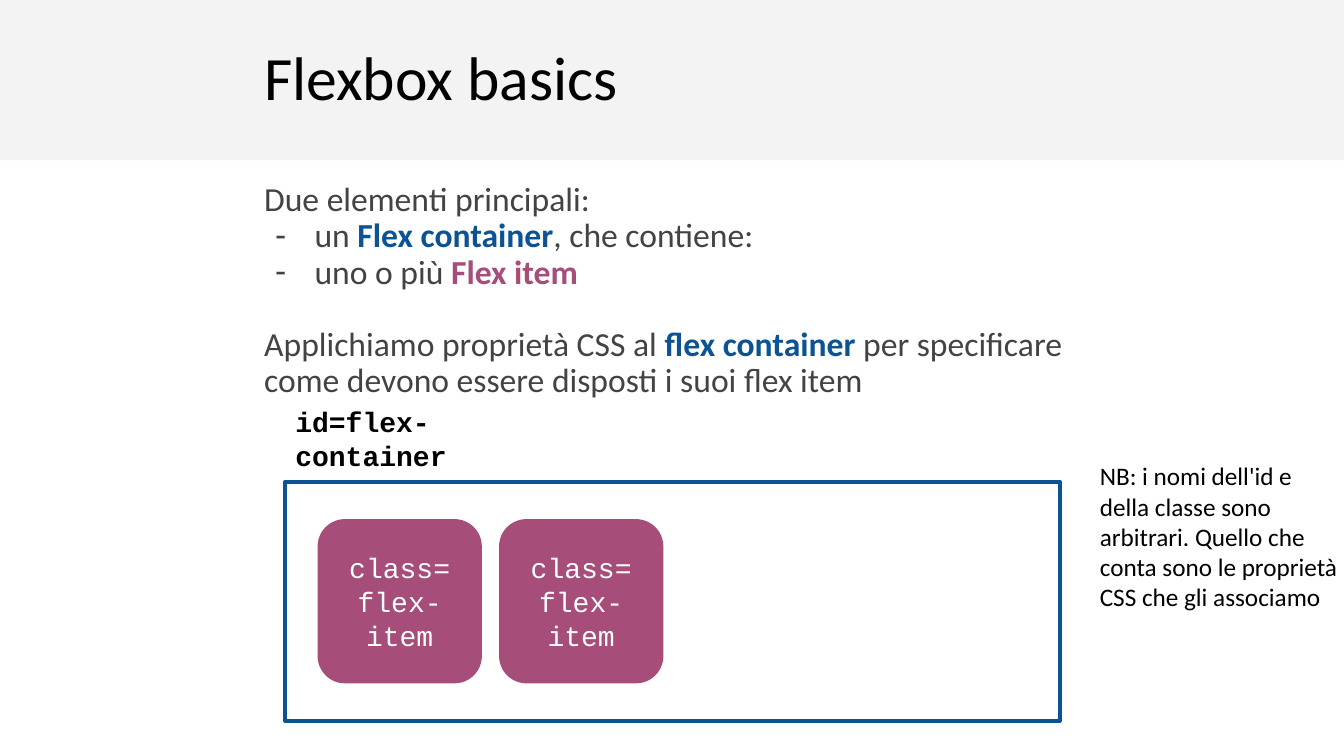
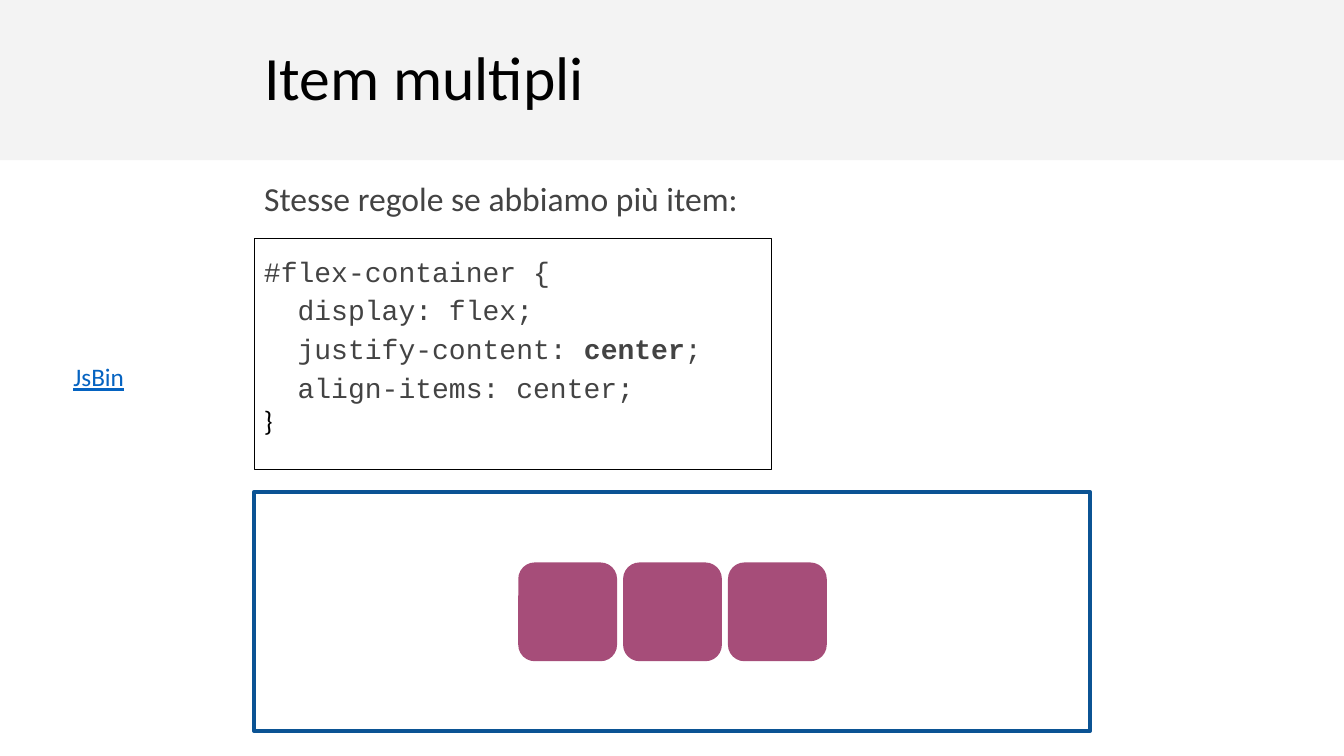
from lxml import etree
from pptx import Presentation
from pptx.dml.color import RGBColor
from pptx.enum.shapes import MSO_SHAPE as SHAPE
from pptx.enum.text import MSO_ANCHOR as ANCHOR, MSO_AUTO_SIZE as AUTO, PP_ALIGN as ALIGN
from pptx.oxml.ns import qn
from pptx.util import Inches, Pt

COLORS = {
    "band": "F3F3F3",
    "text": "434343",
    "black": "000000",
    "white": "FFFFFF",
    "container": "0B5394",
    "item": "A64D79",
    "link": "0563C1",
}
SANS, MONO = "Calibri", "Courier New"


def add_runs(p, runs, size, font=SANS):
    for text, color, bold in runs:
        r = p.add_run()
        r.text = text
        r.font.name = font
        r.font.size = Pt(size)
        r.font.bold = bold
        r.font.color.rgb = RGBColor.from_string(COLORS[color])


def add_box(s, kind, x, y, w, h, fill=None, line=None, weight=3):
    sp = s.shapes.add_shape(kind, Inches(x), Inches(y), Inches(w), Inches(h))
    sp.shadow.inherit = False
    if fill:
        sp.fill.solid()
        sp.fill.fore_color.rgb = RGBColor.from_string(COLORS[fill])
    else:
        sp.fill.background()
    if line:
        sp.line.color.rgb = RGBColor.from_string(COLORS[line])
        sp.line.width = Pt(weight)
    else:
        sp.line.fill.background()
    tf = sp.text_frame
    tf.word_wrap = True
    tf.margin_left = tf.margin_right = tf.margin_top = tf.margin_bottom = Inches(0.1)
    return sp


prs = Presentation()
prs.slide_width, prs.slide_height = Inches(13.33), Inches(7.5)
layout = prs.slide_layouts[1]

pages = [
    ("Flexbox basics", 2.93, [
        (False, 0, [("Due elementi principali:", "text", False)]),
        (True, 0, [("un ", "text", False), ("Flex container", "container", True),
                   (", che contiene:", "text", False)]),
        (True, 0, [("uno o più ", "text", False), ("Flex item", "item", True)]),
        (False, 26, [("Applichiamo proprietà CSS al ", "text", False),
                     ("flex container", "container", True),
                     (" per specificare come devono essere disposti i suoi flex item",
                      "text", False)]),
    ]),
    ("Item multipli", 0.98, [
        (False, 0, [("Stesse regole se abbiamo più item:", "text", False)]),
    ]),
]

slides = []
for title, body_height, paragraphs in pages:
    s = prs.slides.add_slide(layout)
    slides.append(s)
    for sp, top, height, anchor in [
        (s.shapes.title, 0.38, 0.83, ANCHOR.MIDDLE),
        (s.placeholders[1], 1.71, body_height, ANCHOR.TOP),
    ]:
        sp.left, sp.top = Inches(2.52), Inches(top)
        sp.width, sp.height = Inches(8.29), Inches(height)
        tf = sp.text_frame
        tf.auto_size = AUTO.NONE
        tf.vertical_anchor = anchor
        tf.margin_left = tf.margin_right = tf.margin_top = tf.margin_bottom = Inches(0.1)

    p = s.shapes.title.text_frame.paragraphs[0]
    p.alignment = ALIGN.LEFT
    p.line_spacing = 0.9
    add_runs(p, [(title, "black", False)], 44)

    tf = s.placeholders[1].text_frame
    for i, (dash, before, runs) in enumerate(paragraphs):
        p = tf.add_paragraph() if i else tf.paragraphs[0]
        pPr = p._p.get_or_add_pPr()
        pPr.set("marL", str(Inches(0.5) if dash else 0))
        pPr.set("indent", str(Inches(-0.39) if dash else 0))
        if dash:
            etree.SubElement(pPr, qn("a:buChar")).set("char", "-")
        else:
            etree.SubElement(pPr, qn("a:buNone"))
        p.line_spacing = 0.9
        p.space_before = Pt(before)
        add_runs(p, runs, 24)

basics, multiple = slides

band = add_box(basics, SHAPE.RECTANGLE, 0, 0, 13.33, 1.59, "band")
layout.shapes._spTree.insert(2, band._element)

add_box(basics, SHAPE.RECTANGLE, 2.83, 4.78, 7.68, 2.37, "white", "container")
for col in range(2):
    item = add_box(basics, SHAPE.ROUNDED_RECTANGLE, 3.15 + 1.8 * col, 5.15, 1.63, 1.63, "item")
    tf = item.text_frame
    tf.vertical_anchor = ANCHOR.MIDDLE
    for i, text in enumerate(["class=", "flex-", "item"]):
        p = tf.add_paragraph() if i else tf.paragraphs[0]
        p.alignment = ALIGN.CENTER
        add_runs(p, [(text, "white", False)], 20, MONO)

label = basics.shapes.add_textbox(Inches(2.83), Inches(4.2), Inches(2.91), Inches(0.58))
tf = label.text_frame
tf.word_wrap = True
tf.vertical_anchor = ANCHOR.BOTTOM
tf.margin_top = tf.margin_bottom = Inches(0.1)
add_runs(tf.paragraphs[0], [("id=flex-container", "black", True)], 20, MONO)

note = basics.shapes.add_textbox(Inches(10.81), Inches(4.52), Inches(2.52), Inches(1.62))
tf = note.text_frame
tf.word_wrap = True
tf.margin_right = 0
for i, text in enumerate([
    "NB: i nomi dell'id e",
    "della classe sono",
    "arbitrari. Quello che",
    "conta sono le proprietà",
    "CSS che gli associamo",
]):
    p = tf.add_paragraph() if i else tf.paragraphs[0]
    add_runs(p, [(text, "black", False)], 18)

add_box(multiple, SHAPE.RECTANGLE, 2.52, 4.88, 8.29, 2.37, "white", "container")
for col in range(3):
    add_box(multiple, SHAPE.ROUNDED_RECTANGLE, 5.14 + 1.04 * col, 5.58, 0.98, 0.98, "item")

code = add_box(multiple, SHAPE.RECTANGLE, 2.52, 2.37, 5.13, 2.29, None, "black", 0.75)
tf = code.text_frame
tf.vertical_anchor = ANCHOR.TOP
for i, (runs, font, spacing) in enumerate([
    ([("#flex-container {", "text", False)], MONO, 1.15),
    ([("  display: flex;", "text", False)], MONO, 1.15),
    ([("  justify-content: ", "text", False), ("center", "text", True),
      (";", "text", False)], MONO, 1.15),
    ([("  align-items: center;", "text", False)], MONO, 1.15),
    ([("}", "black", False)], SANS, 1.0),
]):
    p = tf.add_paragraph() if i else tf.paragraphs[0]
    p.alignment = ALIGN.LEFT
    p.line_spacing = spacing
    add_runs(p, runs, 20, font)

link = multiple.shapes.add_textbox(Inches(0.63), Inches(3.54), Inches(0.8), Inches(0.4))
tf = link.text_frame
tf.word_wrap = True
p = tf.paragraphs[0]
add_runs(p, [("JsBin", "link", False)], 18)
p.runs[0].font.underline = True

prs.save("out.pptx")
